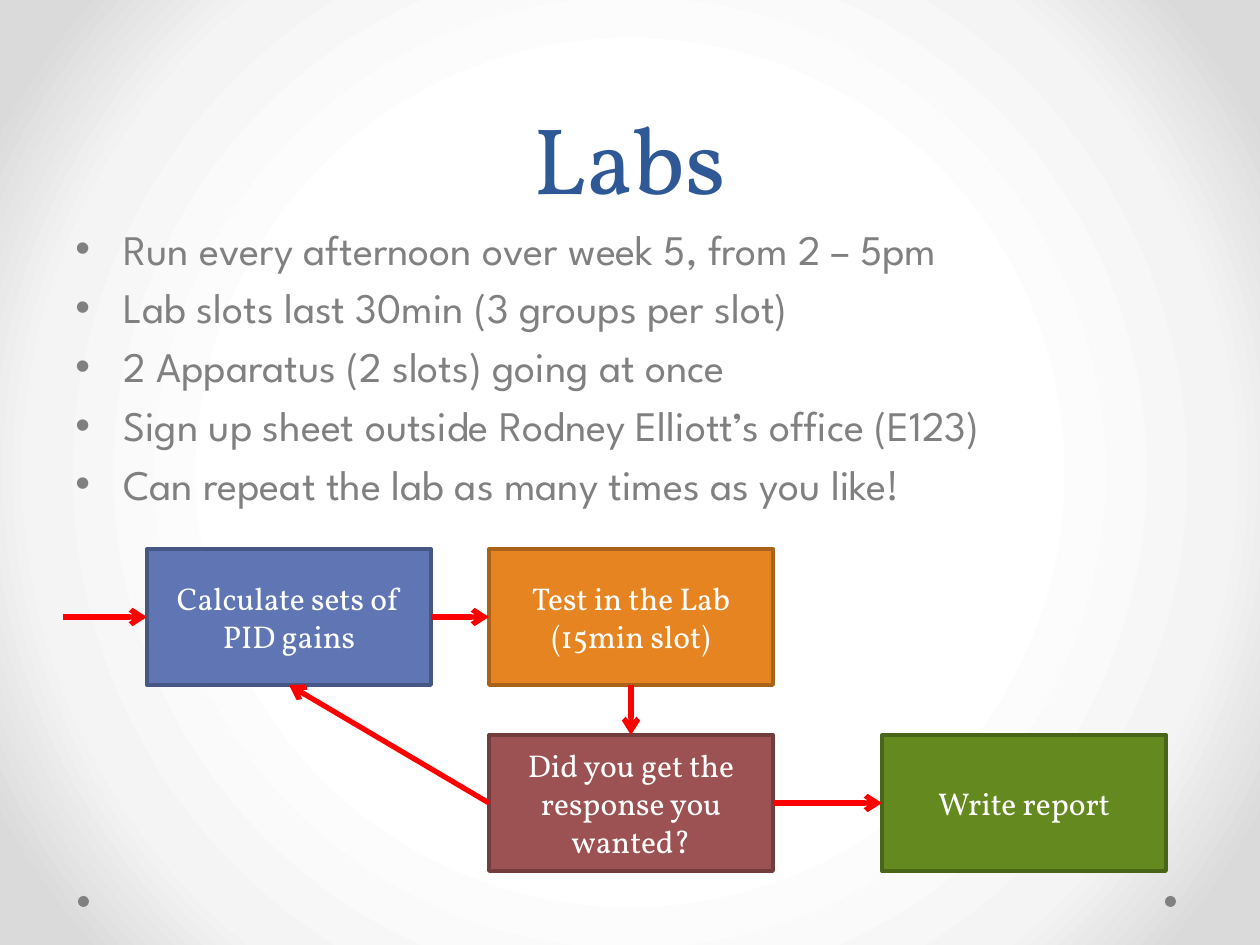
from lxml import etree
from pptx import Presentation
from pptx.dml.color import RGBColor
from pptx.enum.shapes import MSO_CONNECTOR, MSO_SHAPE
from pptx.enum.text import MSO_ANCHOR, PP_ALIGN
from pptx.oxml import parse_xml
from pptx.oxml.ns import nsdecls, qn
from pptx.util import Pt

RECT, OVAL, LINE = MSO_SHAPE.RECTANGLE, MSO_SHAPE.OVAL, MSO_CONNECTOR.STRAIGHT
CENTER, MIDDLE, BOTTOM = PP_ALIGN.CENTER, MSO_ANCHOR.MIDDLE, MSO_ANCHOR.BOTTOM
TOP_SIDE, LEFT_SIDE, BOTTOM_SIDE, RIGHT_SIDE = range(4)
SERIF, SANS = "Vollkorn", "League Spartan"
GREY, BLUE, RED, WHITE = "808080", "2F5897", "FF0000", "FFFFFF"

TITLE = "Labs"
POINTS = [
    "Run every afternoon over week 5, from 2 – 5pm",
    "Lab slots last 30min (3 groups per slot)",
    "2 Apparatus (2 slots) going at once",
    "Sign up sheet outside Rodney Elliott’s office (E123)",
    "Can repeat the lab as many times as you like!",
]
COLS, ROWS = (147, 489, 882), (549, 735)
BOX_W, BOX_H = 284, 136
# name: (column, row, fill, border, lines)
STEPS = {
    "gains": (0, 0, "6076B4", "475785", ["Calculate sets of PID gains"]),
    "test": (1, 0, "E68422", "AA6219", ["Test in the Lab", "(15min slot)"]),
    "check": (1, 1, "9C5252", "733D3D",
              ["Did you get the response you wanted?"]),
    "report": (2, 1, "63891F", "496517", ["Write report"]),
}
LINKS = [
    ("gains", RIGHT_SIDE, "test", LEFT_SIDE),
    ("test", BOTTOM_SIDE, "check", TOP_SIDE),
    ("check", LEFT_SIDE, "gains", BOTTOM_SIDE),
    ("check", RIGHT_SIDE, "report", LEFT_SIDE),
]
ENTRY_X = 63
DOTS, DOT_Y, DOT_SIZE = (78, 1165), 896, 11
STOPS = [(50, "FFFFFF"), (76, "F4F4F4"), (92, "DADADA")]


def px(n):
    return int(n * 914400 / 126)


def rgb(code):
    return RGBColor.from_string(code)


def set_back(slide):
    """Fill the background with a gradient spreading from the centre."""
    stops = "".join(
        f'<a:gs pos="{pos * 1000}"><a:srgbClr val="{code}"/></a:gs>'
        for pos, code in STOPS)
    slide.background.fill.solid()
    props = slide.background._cSld.bg.bgPr
    props.replace(props[0], parse_xml(
        f'<a:gradFill {nsdecls("a")} rotWithShape="1">'
        f'<a:gsLst>{stops}</a:gsLst><a:path path="circle">'
        '<a:fillToRect l="50000" t="50000" r="50000" b="50000"/>'
        '</a:path></a:gradFill>'))


def add_bullet(para):
    props = para._p.get_or_add_pPr()
    props.set("marL", str(px(48)))
    props.set("indent", str(-px(48)))
    etree.SubElement(props, qn("a:buFont")).set("typeface", "Arial")
    etree.SubElement(props, qn("a:buChar")).set("char", "•")


def write(frame, lines, font, size, color, align=None, bullet=False):
    frame.word_wrap = True
    for i, line in enumerate(lines):
        para = frame.add_paragraph() if i else frame.paragraphs[0]
        para.text = line
        if align is not None:
            para.alignment = align
        if bullet:
            add_bullet(para)
            if i:
                para.space_before = Pt(size * 0.2)
        para.font.name, para.font.size = font, Pt(size)
        para.font.color.rgb = rgb(color)


def add_shape(slide, kind, x, y, w, h, fill, border=None):
    shape = slide.shapes.add_shape(kind, px(x), px(y), px(w), px(h))
    shape.shadow.inherit = False
    shape.fill.solid()
    shape.fill.fore_color.rgb = rgb(fill)
    if border:
        shape.line.color.rgb = rgb(border)
        shape.line.width = Pt(2.25)
    else:
        shape.line.fill.background()
    return shape


def add_arrow(slide, x, y, goal, side):
    """Draw an arrow from a point to a side of the goal box."""
    arrow = slide.shapes.add_connector(LINE, px(x), px(y), px(x), px(y))
    arrow.end_connect(goal, side)
    arrow.line.color.rgb = rgb(RED)
    arrow.line.width = Pt(3)
    etree.SubElement(arrow.line._get_or_add_ln(),
                     qn("a:tailEnd")).set("type", "arrow")
    etree.SubElement(arrow._element.spPr, qn("a:effectLst"))
    return arrow


def main():
    deck = Presentation()
    deck.slide_width, deck.slide_height = px(1260), px(945)
    slide = deck.slides.add_slide(deck.slide_layouts[6])
    set_back(slide)
    for x in DOTS:
        add_shape(slide, OVAL, x, DOT_Y, DOT_SIZE, DOT_SIZE, GREY)

    title = slide.shapes.add_textbox(px(63), 0, px(1134), px(220)).text_frame
    title.vertical_anchor = BOTTOM
    write(title, [TITLE], SERIF, 54, BLUE, CENTER)
    title.paragraphs[0].line_spacing = Pt(58)

    body = slide.shapes.add_textbox(px(63), px(217), px(1134), px(624))
    write(body.text_frame, POINTS, SANS, 24, GREY, bullet=True)

    boxes = {}
    for name, (col, row, fill, border, lines) in STEPS.items():
        box = add_shape(slide, RECT, COLS[col], ROWS[row], BOX_W, BOX_H,
                        fill, border)
        box.text_frame.vertical_anchor = MIDDLE
        write(box.text_frame, lines, SERIF, 18, WHITE, CENTER)
        boxes[name] = box

    for start, out, goal, side in LINKS:
        add_arrow(slide, 0, 0, boxes[goal], side).begin_connect(
            boxes[start], out)
    add_arrow(slide, ENTRY_X, ROWS[0] + BOX_H / 2, boxes["gains"], LEFT_SIDE)
    deck.save("out.pptx")


if __name__ == "__main__":
    main()
